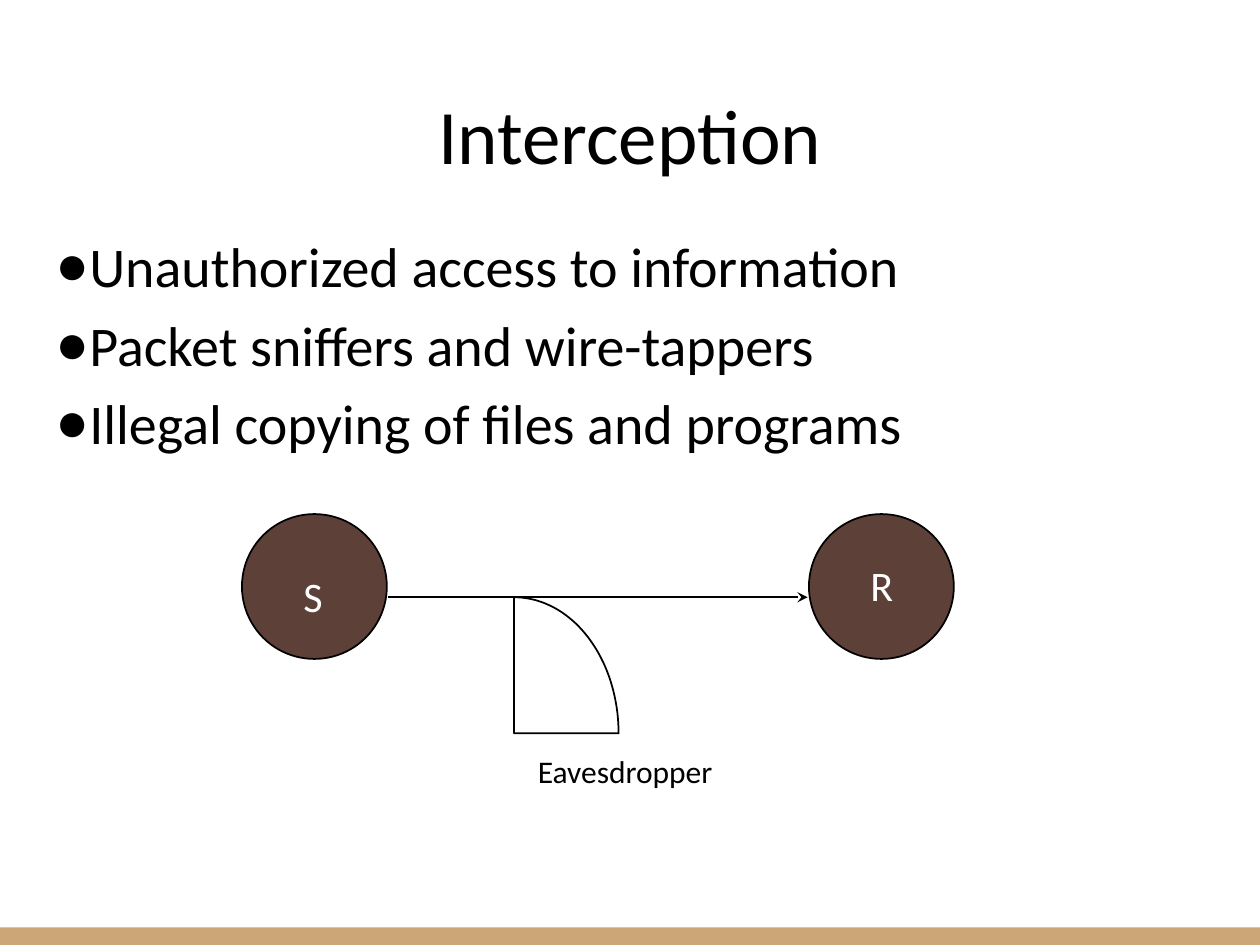
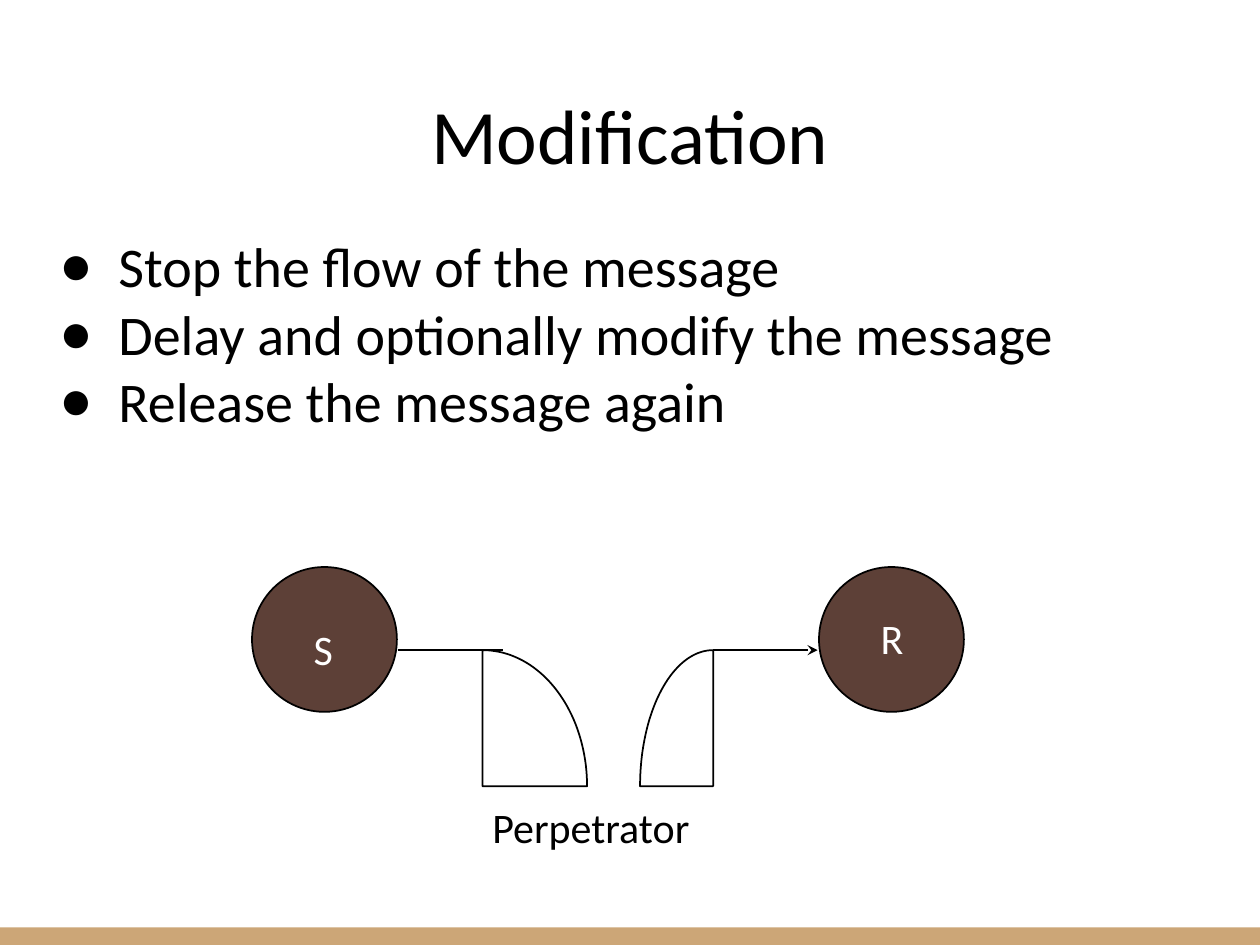
"""Build two slides on message interception and modification."""
import math

import pptx
import pptx.util
from pptx.dml.color import RGBColor
from pptx.enum.shapes import MSO_CONNECTOR, MSO_SHAPE
from pptx.enum.text import MSO_ANCHOR, MSO_AUTO_SIZE, PP_ALIGN
from pptx.oxml import parse_xml
from pptx.oxml.ns import nsdecls
from pptx.util import Inches, Pt

BLACK = RGBColor(0, 0, 0)
WHITE = RGBColor(255, 255, 255)
BROWN = RGBColor(0x5D, 0x40, 0x37)
TAN = RGBColor(0xCC, 0xA6, 0x77)
FONT = "Calibri"
DISC = 1.15
SPAN = 4.5
DROP = 0.66
DEPTH = 1.08

SLIDES = [
    {
        "title": "Interception",
        "points": [
            "Unauthorized access to information",
            "Packet sniffers and wire-tappers",
            "Illegal copying of files and programs",
        ],
        "indent": (0, 0),
        "gap": 6.4,
        "sender": (1.92, 4.08),
        "wires": [(3.08, 6.41, True)],
        "wedges": [(4.08, 0.83)],
        "label": ("Eavesdropper", (4.17, 5.92, 1.6, 0.4), 18),
        "align": PP_ALIGN.LEFT,
    },
    {
        "title": "Modification",
        "points": [
            "Stop the flow of the message",
            "Delay and optionally modify the message",
            "Release the message again",
        ],
        "indent": (0.5, -0.47),
        "gap": 0,
        "sender": (2, 4.5),
        "wires": [(3.16, 3.99, False), (5.66, 6.49, True)],
        "wedges": [(3.83, 0.83), (5.66, -0.58)],
        "label": ("Perpetrator", (3.72, 6.31, 1.94, 0.5), 24),
        "align": PP_ALIGN.CENTER,
    },
]


def style(para, size, color=BLACK):
    for run in para.runs:
        run.font.name = FONT
        run.font.size = Pt(size)
        run.font.color.rgb = color


def place(shape, box):
    shape.left, shape.top, shape.width, shape.height = map(Inches, box)
    shape.text_frame.auto_size = MSO_AUTO_SIZE.NONE


def add_text(slide, text, box, size, color=BLACK, align=PP_ALIGN.LEFT):
    frame = slide.shapes.add_textbox(*map(Inches, box)).text_frame
    frame.word_wrap = True
    frame.text = text
    frame.paragraphs[0].alignment = align
    style(frame.paragraphs[0], size, color)


def add_title(slide, text):
    title = slide.shapes.title
    place(title, (0.34, 0.46, 9.32, 1.21))
    title.text_frame.text = text
    title.text_frame.vertical_anchor = MSO_ANCHOR.MIDDLE
    title.text_frame.paragraphs[0].alignment = PP_ALIGN.CENTER
    style(title.text_frame.paragraphs[0], 44)


def add_points(slide, points, indent, gap):
    body = slide.placeholders[1]
    place(body, (0.34, 1.79, 9.32, 4.89))
    body.text_frame.text = "\n".join(points)
    for i, para in enumerate(body.text_frame.paragraphs):
        props = para._p.get_or_add_pPr()
        props.set("marL", str(Inches(indent[0])))
        props.set("indent", str(Inches(indent[1])))
        for tag in (
            f'<a:buClr {nsdecls("a")}><a:srgbClr val="{BLACK}"/></a:buClr>',
            f'<a:buChar {nsdecls("a")} char="●"/>',
        ):
            props.append(parse_xml(tag))
        para.space_before = Pt(gap if i else 0)
        style(para, 32)


def outline(shape):
    shape.line.color.rgb = BLACK
    shape.line.width = Pt(1)


def add_disc(slide, left, top):
    disc = slide.shapes.add_shape(
        MSO_SHAPE.OVAL, *map(Inches, (left, top, DISC, DISC)))
    disc.shadow.inherit = False
    disc.fill.solid()
    disc.fill.fore_color.rgb = BROWN
    outline(disc)


def add_wire(slide, start, end, y, arrow):
    wire = slide.shapes.add_connector(
        MSO_CONNECTOR.STRAIGHT, *map(Inches, (start, y, end, y)))
    outline(wire)
    if arrow:
        wire.line._get_or_add_ln().append(
            parse_xml(f'<a:tailEnd {nsdecls("a")} type="stealth"/>'))
    wire._element.spPr.append(parse_xml(f'<a:effectLst {nsdecls("a")}/>'))


def add_wedge(slide, x, top, reach):
    base = top + DEPTH
    steps = 40
    turns = [math.pi / 2 * i / steps for i in range(steps + 1)]
    arc = [(Inches(x + reach * math.sin(t)), Inches(base - DEPTH * math.cos(t)))
           for t in turns]
    pen = slide.shapes.build_freeform(*arc[0])
    pen.add_line_segments(arc[1:] + [(Inches(x), Inches(base))], close=True)
    wedge = pen.convert_to_shape()
    wedge.shadow.inherit = False
    wedge.fill.background()
    outline(wedge)


def add_flow(slide, data):
    left, top = data["sender"]
    level = top + DROP
    for x in (left, left + SPAN):
        add_disc(slide, x, top)
    for start, end, arrow in data["wires"]:
        add_wire(slide, start, end, level, arrow)
    add_text(slide, "S", (left + 0.39, top + 0.4, 0.39, 0.5), 24, WHITE)
    add_text(slide, "R", (left + SPAN + 0.39, top + 0.31, 0.42, 0.5), 24, WHITE)
    for x, reach in data["wedges"]:
        add_wedge(slide, x, level, reach)
    add_text(slide, *data["label"], align=data["align"])


def add_band(slide, layout):
    band = slide.shapes.add_shape(
        MSO_SHAPE.RECTANGLE, *map(Inches, (0, 7.36, 10, 0.14)))
    band.shadow.inherit = False
    band.fill.solid()
    band.fill.fore_color.rgb = TAN
    band.line.fill.background()
    layout.shapes.element.append(band.element)


def main():
    deck = pptx.Presentation()
    deck.slide_width, deck.slide_height = Inches(10), Inches(7.5)
    layout = deck.slide_layouts[1]
    for i, data in enumerate(SLIDES):
        slide = deck.slides.add_slide(layout)
        if i == 0:
            add_band(slide, layout)
        add_title(slide, data["title"])
        add_points(slide, data["points"], data["indent"], data["gap"])
        add_flow(slide, data)
    deck.save("out.pptx")


if __name__ == "__main__":
    main()
